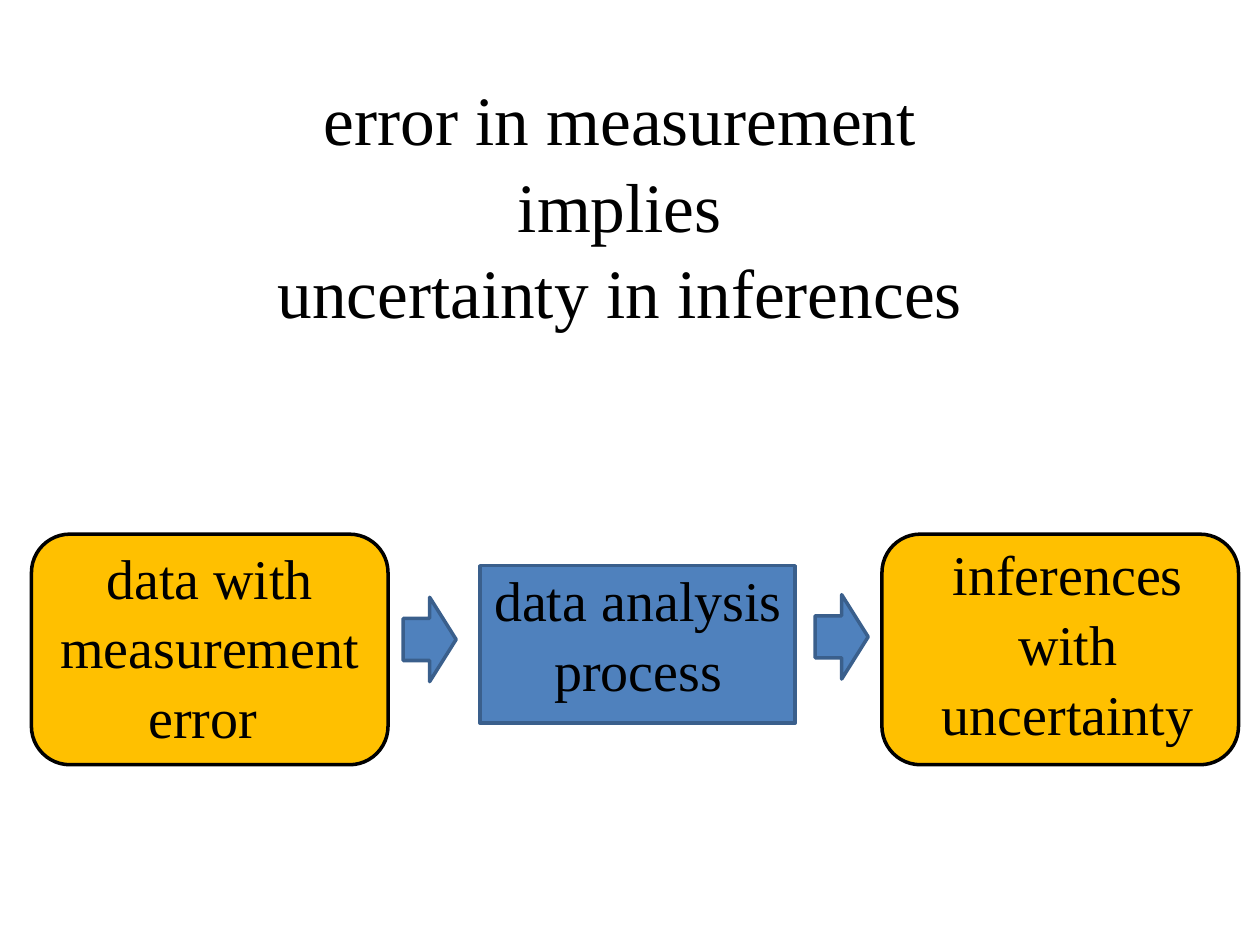
from dataclasses import dataclass

import pptx
import pptx.dml.color
import pptx.enum.shapes
import pptx.enum.text
import pptx.slide
import pptx.util

RGBColor = pptx.dml.color.RGBColor
Preset = pptx.enum.shapes.MSO_SHAPE
Anchor = pptx.enum.text.MSO_ANCHOR

BLACK = RGBColor(0x00, 0x00, 0x00)
AMBER = RGBColor(0xFF, 0xC0, 0x00)
BLUE = RGBColor(0x4F, 0x81, 0xBD)
DARK_BLUE = RGBColor(0x3A, 0x5F, 0x8C)

SLIDE_WIDTH = pptx.util.Inches(10)
SLIDE_HEIGHT = pptx.util.Inches(7.5)
LINE_SPACING = 1.04


@dataclass(frozen=True)
class Area:
    left: float
    top: float
    width: float
    height: float

    def lengths(self) -> tuple[int, int, int, int]:
        return (
            round(SLIDE_WIDTH * self.left / 100),
            round(SLIDE_HEIGHT * self.top / 100),
            round(SLIDE_WIDTH * self.width / 100),
            round(SLIDE_HEIGHT * self.height / 100),
        )


@dataclass(frozen=True)
class Block:
    preset: Preset
    area: Area
    fill: RGBColor
    outline: RGBColor


@dataclass(frozen=True)
class Label:
    text: str
    area: Area
    size: float = 32
    anchor: Anchor = Anchor.TOP


def state_block(left: float) -> Block:
    return Block(Preset.ROUNDED_RECTANGLE, Area(left, 56.53, 28.3, 24.4), AMBER, BLACK)


def arrow_block(left: float, top: float) -> Block:
    return Block(Preset.RIGHT_ARROW, Area(left, top, 4.2, 8.93), BLUE, DARK_BLUE)


def stage_label(text: str, left: float, top: float) -> Label:
    return Label(text, Area(left, top, 26.7, 25.6))


BLOCKS = (
    Block(Preset.RECTANGLE, Area(38.1, 59.87, 25, 16.67), BLUE, DARK_BLUE),
    state_block(70),
    state_block(2.5),
    arrow_block(32, 63.2),
    arrow_block(64.7, 62.93),
)

LABELS = (
    stage_label("data with measurement error ", 3.3, 56.53),
    stage_label("data analysis process", 37.3, 58.93),
    stage_label("inferences with uncertainty", 71.4, 56.13),
    Label(
        "error in measurement\vimplies\vuncertainty in inferences",
        Area(4.2, 7.33, 90, 28.27),
        39.6,
        Anchor.MIDDLE,
    ),
)


def apply_format(target: object, values: dict[str, object]) -> None:
    for name, value in values.items():
        setattr(target, name, value)


def draw_block(slide: pptx.slide.Slide, block: Block) -> None:
    shape = slide.shapes.add_shape(block.preset, *block.area.lengths())
    shape.shadow.inherit = False
    shape.fill.solid()
    shape.fill.fore_color.rgb = block.fill
    shape.line.color.rgb = block.outline
    shape.line.width = pptx.util.Pt(2)


def draw_label(slide: pptx.slide.Slide, label: Label) -> None:
    frame = slide.shapes.add_textbox(*label.area.lengths()).text_frame
    apply_format(frame, {"word_wrap": True, "vertical_anchor": label.anchor, "text": label.text})
    paragraph = frame.paragraphs[0]
    apply_format(
        paragraph,
        {"alignment": pptx.enum.text.PP_ALIGN.CENTER, "line_spacing": LINE_SPACING},
    )
    for run in paragraph.runs:
        apply_format(
            run.font, {"name": "Times New Roman", "size": pptx.util.Pt(label.size)}
        )
        run.font.color.rgb = BLACK


def main() -> None:
    presentation = pptx.Presentation()
    apply_format(presentation, {"slide_width": SLIDE_WIDTH, "slide_height": SLIDE_HEIGHT})
    slide = presentation.slides.add_slide(presentation.slide_layouts[6])
    for block in BLOCKS:
        draw_block(slide, block)
    for label in LABELS:
        draw_label(slide, label)
    presentation.save("out.pptx")


if __name__ == "__main__":
    main()
